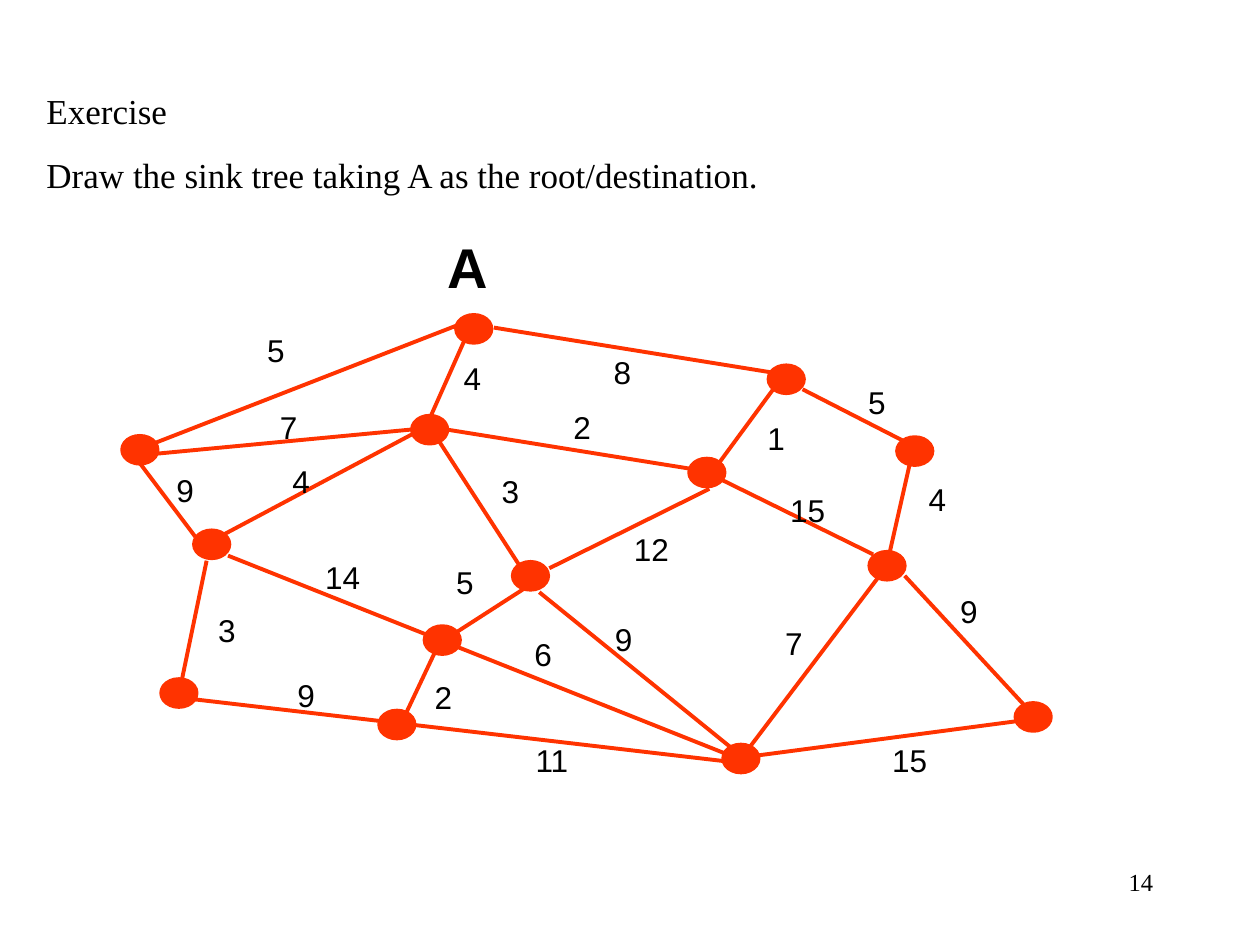
from lxml.etree import SubElement
from pptx import Presentation
from pptx.dml.color import RGBColor
from pptx.enum.shapes import MSO_CONNECTOR, MSO_SHAPE
from pptx.enum.text import PP_ALIGN
from pptx.oxml.ns import qn
from pptx.util import Inches, Pt

GRAPH_RED = RGBColor(0xFF, 0x33, 0x00)
BLACK = RGBColor(0x00, 0x00, 0x00)
SERIF, SANS = "Times New Roman", "Arial"
NODE_WIDTH, NODE_HEIGHT = 0.28, 0.22
LABEL_WIDTH, LABEL_HEIGHT = 0.54, 0.4

EXERCISE = ["Exercise", "Draw the sink tree taking A as the root/destination."]
PAGE_NUMBER = "14"

# Left and top of each node; the first one is the root A.
NODES = [
    (3.62, 2.5), (6.1, 2.9), (3.27, 3.3), (0.97, 3.46), (7.12, 3.47),
    (5.47, 3.64), (1.54, 4.21), (6.9, 4.38), (4.07, 4.46), (3.37, 4.97),
    (1.28, 5.39), (8.06, 5.58), (3.01, 5.64), (5.74, 5.91),
]

# Start, end, and the weights along the line as (text, left, top).
# A line with two weights passes through a node on its way.
EDGES = [
    ((1.22, 3.52), (3.66, 2.57), [("5", 1.92, 2.58)]),
    ((3.92, 2.6), (6.21, 2.97), [("8", 4.67, 2.75)]),
    ((3.42, 3.3), (3.7, 2.67), [("4", 3.48, 2.8)]),
    ((1.25, 3.6), (3.36, 3.4), [("7", 2.02, 3.19)]),
    ((1.06, 3.61), (1.55, 4.26), [("9", 1.2, 3.69)]),
    ((1.78, 4.24), (3.34, 3.41), [("4", 2.12, 3.62)]),
    ((3.55, 3.41), (5.54, 3.73), [("2", 4.35, 3.19)]),
    ((3.49, 3.51), (4.15, 4.53), [("3", 3.78, 3.7)]),
    ((5.71, 3.67), (6.21, 2.99), [("1", 5.89, 3.28)]),
    ((6.37, 3.09), (7.21, 3.52), [("5", 6.69, 2.99)]),
    ((7.06, 4.39), (7.25, 3.55), [("4", 7.17, 3.76)]),
    ((5.63, 3.76), (6.93, 4.4), [("15", 6.14, 3.85)]),
    ((5.63, 3.88), (4.36, 4.51), [("12", 4.9, 4.16)]),
    ((1.64, 4.45), (1.42, 5.51), [("3", 1.53, 4.8)]),
    ((1.81, 4.41), (5.78, 5.99), [("14", 2.45, 4.38), ("6", 4.04, 4.99)]),
    ((4.21, 4.64), (3.62, 5.02), [("5", 3.42, 4.42)]),
    ((3.45, 5.18), (3.19, 5.73), [("2", 3.25, 5.33)]),
    ((4.28, 4.7), (5.81, 5.94), [("9", 4.68, 4.87)]),
    ((6.98, 4.57), (5.95, 5.93), [("7", 6.03, 4.9)]),
    ((7.18, 4.57), (8.16, 5.63), [("9", 7.42, 4.65)]),
    ((1.54, 5.55), (5.74, 6.04), [("9", 2.16, 5.32), ("11", 4.11, 5.83)]),
    ((5.98, 6), (8.1, 5.72), [("15", 6.95, 5.83)]),
]


def add_text(slide, lines, left, top, width, height, font_name, size,
             align=PP_ALIGN.CENTER, bold=False):
    box = slide.shapes.add_textbox(*map(Inches, (left, top, width, height)))
    frame = box.text_frame
    frame.word_wrap = True
    for index, line in enumerate(lines):
        paragraph = frame.add_paragraph() if index else frame.paragraphs[0]
        paragraph.alignment = align
        if index:
            paragraph.space_before = Pt(12.5)
        run = paragraph.add_run()
        run.text = line
        run.font.name = font_name
        run.font.size = Pt(size)
        run.font.bold = bold
        run.font.color.rgb = BLACK


def add_edge(slide, start, end):
    edge = slide.shapes.add_connector(
        MSO_CONNECTOR.STRAIGHT, *map(Inches, start + end))
    edge.line.color.rgb = GRAPH_RED
    edge.line.width = Pt(2.25)
    SubElement(edge._element.spPr, qn("a:effectLst"))


def add_node(slide, left, top):
    node = slide.shapes.add_shape(
        MSO_SHAPE.OVAL, *map(Inches, (left, top, NODE_WIDTH, NODE_HEIGHT)))
    node.shadow.inherit = False
    node.fill.solid()
    node.fill.fore_color.rgb = GRAPH_RED
    node.line.color.rgb = GRAPH_RED
    node.line.width = Pt(2.25)


def main():
    deck = Presentation()
    deck.slide_width, deck.slide_height = Inches(10), Inches(7.5)
    slide = deck.slides.add_slide(deck.slide_layouts[6])

    add_text(slide, [PAGE_NUMBER], 7.17, 6.83, 2.08, 0.5, SERIF, 14,
             PP_ALIGN.RIGHT)
    add_text(slide, EXERCISE, 0.27, 0.66, 6.01, 0.94, SERIF, 20,
             PP_ALIGN.JUSTIFY)

    for start, end, _ in EDGES:
        add_edge(slide, start, end)
    for left, top in NODES:
        add_node(slide, left, top)
    for _, _, weights in EDGES:
        for weight, left, top in weights:
            add_text(slide, [weight], left, top, LABEL_WIDTH, LABEL_HEIGHT,
                     SANS, 18)
    add_text(slide, ["A"], 3.44, 1.8, LABEL_WIDTH, 0.64, SANS, 32, bold=True)

    deck.save("out.pptx")


if __name__ == "__main__":
    main()
